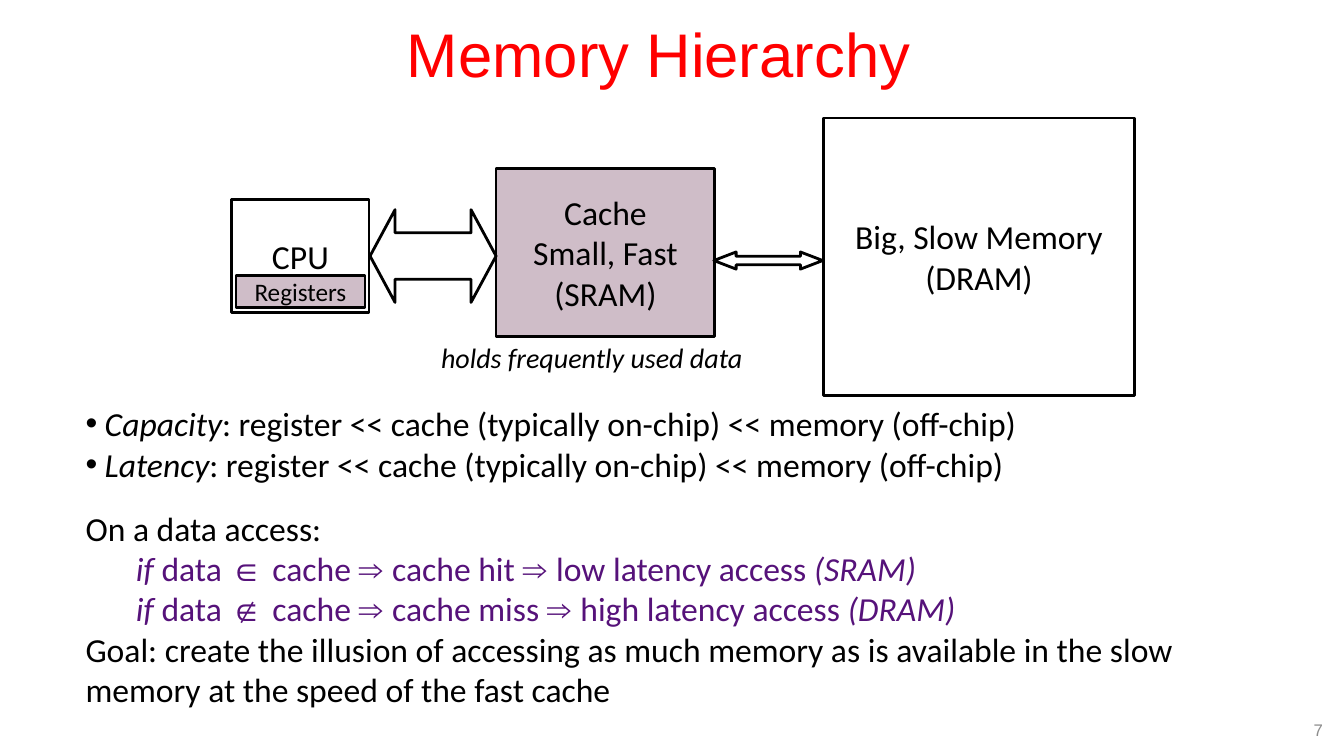
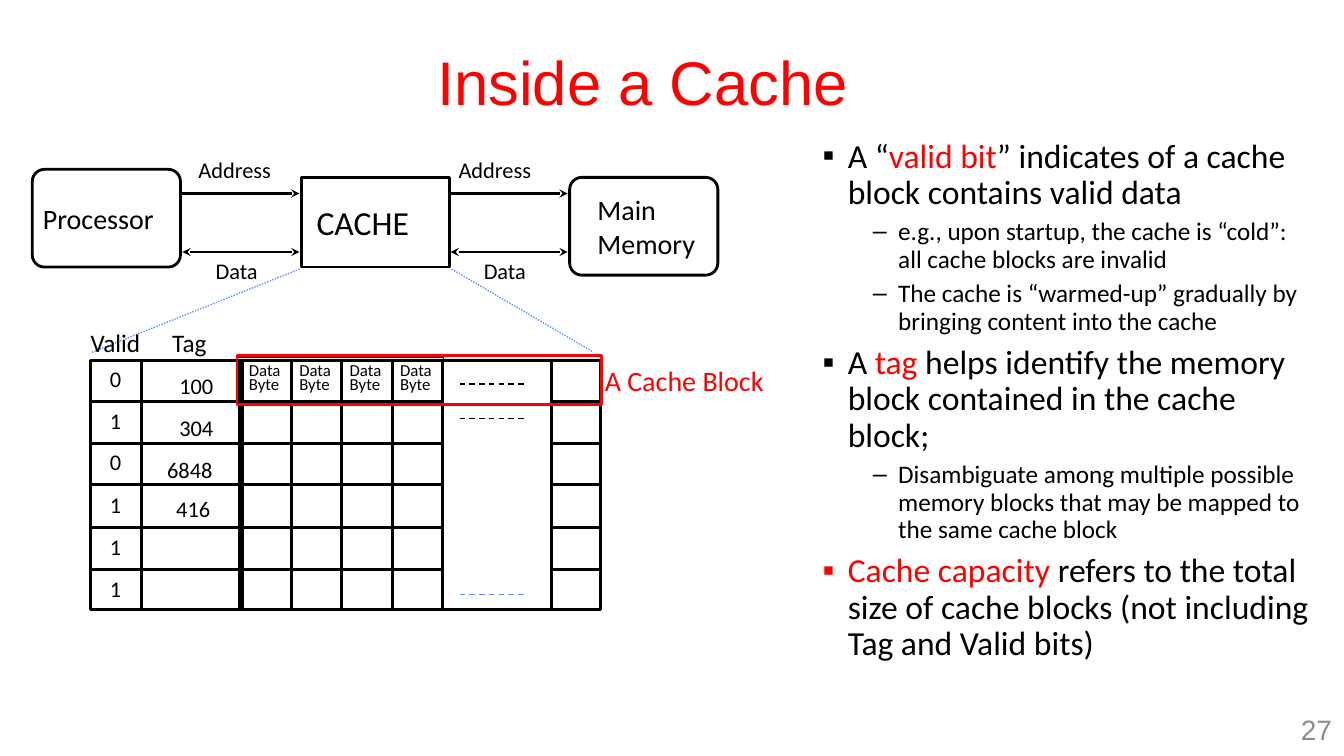
from lxml import etree
from pptx import Presentation
from pptx import util as u
from pptx.dml import color
from pptx.enum import dml, shapes, text
from pptx.oxml import ns

PX = 9144  # 100 px to the inch
HEX = {"black": "000000", "white": "FFFFFF", "red": "FF0000", "grey": "8C8C8C",
       "mauve": "CFBDC8", "plum": "56127A", "blue": "618FFD"}
RGB = {name: color.RGBColor.from_string(code) for name, code in HEX.items()}
FORM = shapes.MSO_SHAPE
LEFT, MID, RIGHT = text.PP_ALIGN.LEFT, text.PP_ALIGN.CENTER, text.PP_ALIGN.RIGHT
MATH = {"f": "Arial"}
ITAL = {"i": True}
RED = {"c": "red"}


def put(slide, box, paras=(), form=None, fill=None, edge="black", thick=2, adj=(),
        size=24, font="Calibri", ink="black", align=LEFT, mid=False, wrap=True,
        inset=10, lead=None):
    """Place a shape or text box; each paragraph is (list of (text, style), options)."""
    place = [v * PX for v in box]
    if form is None:
        item = slide.shapes.add_textbox(*place)
    else:
        item = slide.shapes.add_shape(form, *place)
        item.shadow.inherit = False
        if fill:
            item.fill.solid()
            item.fill.fore_color.rgb = RGB[fill]
        else:
            item.fill.background()
        item.line.color.rgb = RGB[edge]
        item.line.width = u.Pt(thick)
        for n, value in enumerate(adj):
            item.adjustments[n] = value
    frame = item.text_frame
    frame.word_wrap = wrap
    frame.margin_left = inset * PX
    frame.vertical_anchor = text.MSO_ANCHOR.MIDDLE if mid else text.MSO_ANCHOR.TOP
    for n, (runs, opts) in enumerate(paras):
        para = frame.add_paragraph() if n else frame.paragraphs[0]
        props = para._p.get_or_add_pPr()
        if "left" in opts:
            props.set("marL", str(opts["left"] * PX))
            props.set("indent", str(opts.get("hang", 0) * -PX))
        if "mark" in opts:
            face = etree.SubElement(props, ns.qn("a:buFont"))
            face.set("typeface", "Arial")
            etree.SubElement(props, ns.qn("a:buChar")).set("char", opts["mark"])
        para.alignment = align
        if lead:
            para.line_spacing = lead
        if n and "gap" in opts:
            para.space_before = u.Pt(opts["gap"])
        for words, style in runs:
            run = para.add_run()
            run.text = words
            run.font.size = u.Pt(opts.get("size", size))
            run.font.name = style.get("f", font)
            run.font.italic = style.get("i", False)
            run.font.color.rgb = RGB[style.get("c", opts.get("ink", ink))]


def link(slide, x1, y1, x2, y2, ink="black", thick=2, dash=None, ends=()):
    """Draw a straight line; ends lists headEnd and tailEnd as needed."""
    line = slide.shapes.add_connector(shapes.MSO_CONNECTOR.STRAIGHT,
                                      x1 * PX, y1 * PX, x2 * PX, y2 * PX)
    line.line.color.rgb = RGB[ink]
    line.line.width = u.Pt(thick)
    if dash:
        line.line.dash_style = dash
    for end in ends:
        etree.SubElement(line.line._get_or_add_ln(), ns.qn("a:" + end)).set("type", "stealth")
    etree.SubElement(line._element.spPr, ns.qn("a:effectLst"))


deck = Presentation()
deck.slide_width, deck.slide_height = 1333 * PX, 750 * PX

# Titles and page numbers
pages = []
for title, x, y, num, num_x, num_size in (
        ("Memory Hierarchy", 122, 17, "7", 1044, 12),
        ("Inside a Cache", 106, 44, "27", 1053, 20)):
    page = deck.slides.add_slide(deck.slide_layouts[6])
    put(page, (x, y, 1063, 81), [([(title, {})], {})], size=44, font="Arial",
        ink="red", align=MID, mid=True, lead=0.9)
    put(page, (num_x, 708, 278, 32), [([(num, {})], {})], size=num_size, font="Arial",
        ink="grey", align=RIGHT, mid=True)
    pages.append(page)
tiers, cache = pages

# Slide 1: memory levels
for box, fill, size, wrap, rows in (
        ((492, 167, 217, 167), "mauve", 24, True, ("Cache", "Small, Fast", "(SRAM)")),
        ((230, 198, 136, 112), "white", 24, False, ("CPU",)),
        ((817, 117, 308, 275), "white", 24, True, ("Big, Slow Memory", "(DRAM)")),
        ((234, 273, 128, 32), "mauve", 18, True, ("Registers",))):
    put(tiers, box, [([(row, {})], {}) for row in rows], FORM.RECTANGLE, fill,
        size=size, align=MID, mid=True, wrap=wrap)
put(tiers, (358, 333, 458, 43), [([("holds frequently used data", ITAL)], {})],
    size=20, align=MID)
for box, tip in (((708, 250, 108, 17), 1.3), ((367, 208, 125, 92), 0.27)):
    put(tiers, box, form=FORM.LEFT_RIGHT_ARROW, fill="white", adj=(0.5, tip))

# Slide 1: facts, then what happens on an access
body = [([(name, ITAL), (": register << cache (typically on-chip) << memory (off-chip)", {})],
         {"mark": "•", "left": 19, "hang": 19}) for name in ("Capacity", "Latency")]
body.append(([("On a data access:", {})], {"gap": 17}))
for sign, event, delay, kind in (("∈ ", "cache hit ", "low", "(SRAM)"),
                                 ("∉ ", "cache miss ", "high", "(DRAM)")):
    body.append(([("if ", ITAL), ("data ", {}), (sign, MATH), ("cache ", {}), ("⇒ ", MATH),
                  (event, {}), ("⇒ ", MATH), (delay + " latency access ", {}), (kind, ITAL)],
                 {"left": 50, "ink": "plum"}))
body.append(([("Goal: create the illusion of accessing as much memory as is available "
               "in the slow memory at the speed of the fast cache", {})], {}))
put(tiers, (75, 395, 1125, 325), body)

# Slide 2: processor, cache and memory
for box, form, adj, size, inset, rows in (
        ((565, 176, 147, 97), FORM.ROUNDED_RECTANGLE, (0.125,), 20, 24, ("Main", "Memory")),
        ((32, 168, 147, 97), FORM.ROUNDED_RECTANGLE, (0.125,), 20, 7, ("Processor",)),
        ((299, 176, 147, 89), FORM.RECTANGLE, (), 24, 15, ("CACHE",))):
    put(cache, box, [([(row, {})], {}) for row in rows], form, "white", adj=adj,
        size=size, mid=True, inset=inset)
for x in (181, 447):
    link(cache, x, 192, x + 116, 192, ends=("tailEnd",))
    link(cache, x, 250, x + 116, 250, ends=("headEnd", "tailEnd"))

# Slide 2: cache grid
ROW, STEP, TOP, END = 41.7, 50, 356, 606
put(cache, (140, 358, 456, 247), form=FORM.RECTANGLE)
put(cache, (90, 358, STEP, 247), form=FORM.RECTANGLE)
for n in range(5):
    y = round(398 + n * ROW)
    link(cache, 90, y, 439, y)
    link(cache, 547, y, 597, y)
    x = 239 + n * STEP
    link(cache, x, TOP, x, END, thick=2 if n else 4)
link(cache, 547, TOP, 547, END)
for y, ink in ((381, "black"), (415, "black"), (590, "blue")):
    link(cache, 456, y, 522, y, ink, 1, dml.MSO_LINE.DASH)
for x1, x2, y2 in ((297, 90, 350), (448, 588, 349)):
    link(cache, x1, 267, x2, y2, "blue", 1, dml.MSO_LINE.ROUND_DOT)
put(cache, (235, 355, 205, 44), form=FORM.RECTANGLE, thick=0.75)
put(cache, (235, 353, 362, 48), form=FORM.RECTANGLE, edge="red")

# Slide 2: labels
for n in range(4):
    put(cache, (237 + n * STEP, 357, 53, 39), [([(word, {})], {}) for word in ("Data", "Byte")],
        size=12, lead=0.7, wrap=False)
labels = [("Address", 187, 150, 93, 16), ("Address", 445, 150, 93, 16),
          ("Data", 204, 250, 63, 16), ("Data", 470, 250, 63, 16),
          ("Tag", 161, 320, 55, 18), ("Valid", 80, 320, 70, 18),
          ("100", 168, 364, 54, 16), ("304", 168, 406, 54, 16),
          ("6848", 156, 448, 66, 16), ("416", 165, 486, 54, 16)]
labels += [(bit, 99, round(357 + n * ROW), 32, 16) for n, bit in enumerate("010111")]
for word, x, y, w, size in labels:
    put(cache, (x, y, w, 37), [([(word, {})], {})], size=size, wrap=False)
put(cache, (590, 356, 180, 44), [([("A Cache Block", RED)], {})], size=20, wrap=False)

# Slide 2: notes on the right
MAIN = {"mark": "▪", "left": 25, "hang": 25, "size": 24, "gap": 7.2}
SUB = {"mark": "–", "left": 75, "hang": 25, "size": 18, "gap": 5.4}
put(cache, (806, 133, 502, 537), [
    ([("A “", {}), ("valid bit", RED),
      ("” indicates of a cache block contains valid data", {})], MAIN),
    ([("e.g., upon startup, the cache is “cold”: all cache blocks are invalid", {})], SUB),
    ([("The cache is “warmed-up” gradually by bringing content into the cache", {})], SUB),
    ([("A ", {}), ("tag ", RED),
      ("helps identify the memory block contained in the cache block;", {})], MAIN),
    ([("Disambiguate among multiple possible memory blocks that may be mapped "
       "to the same cache block", {})], SUB),
    ([("Cache capacity", RED),
      (" refers to the total size of cache blocks (not including Tag and Valid bits)", {})], MAIN),
], lead=0.9)

deck.save("out.pptx")
